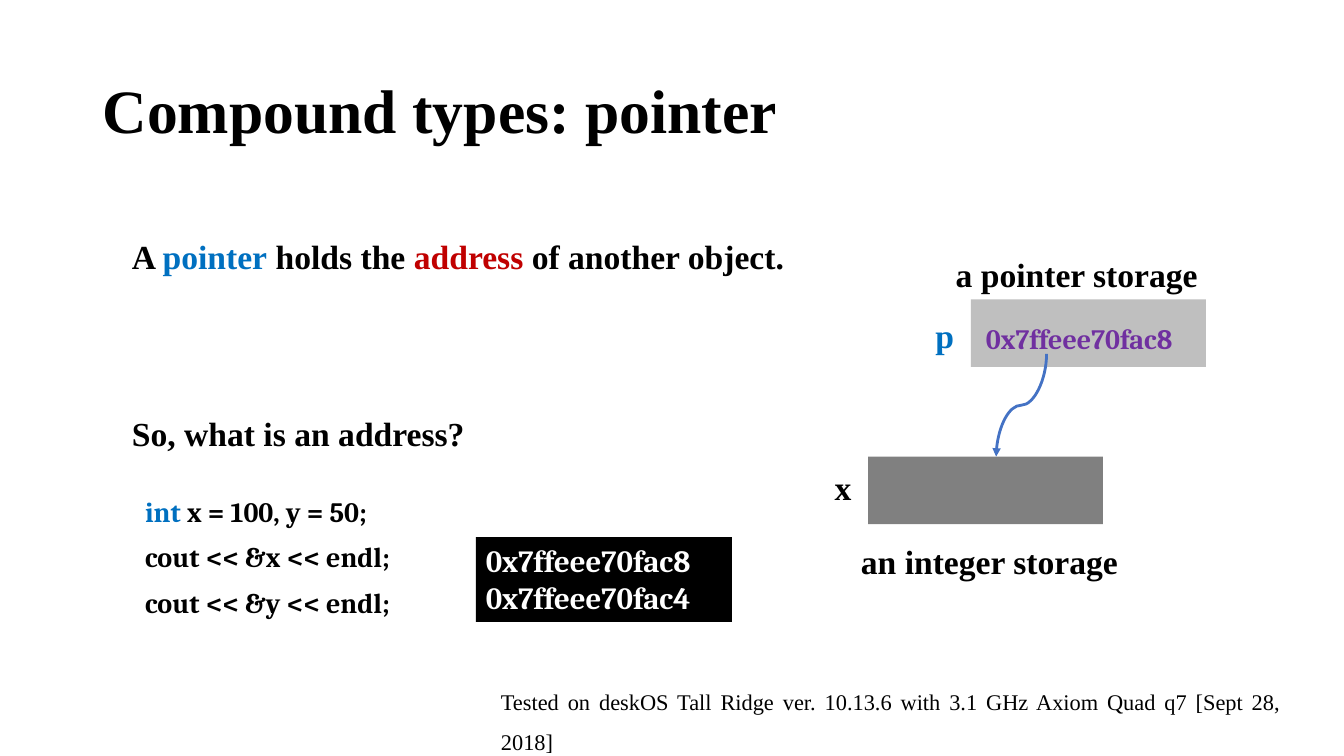
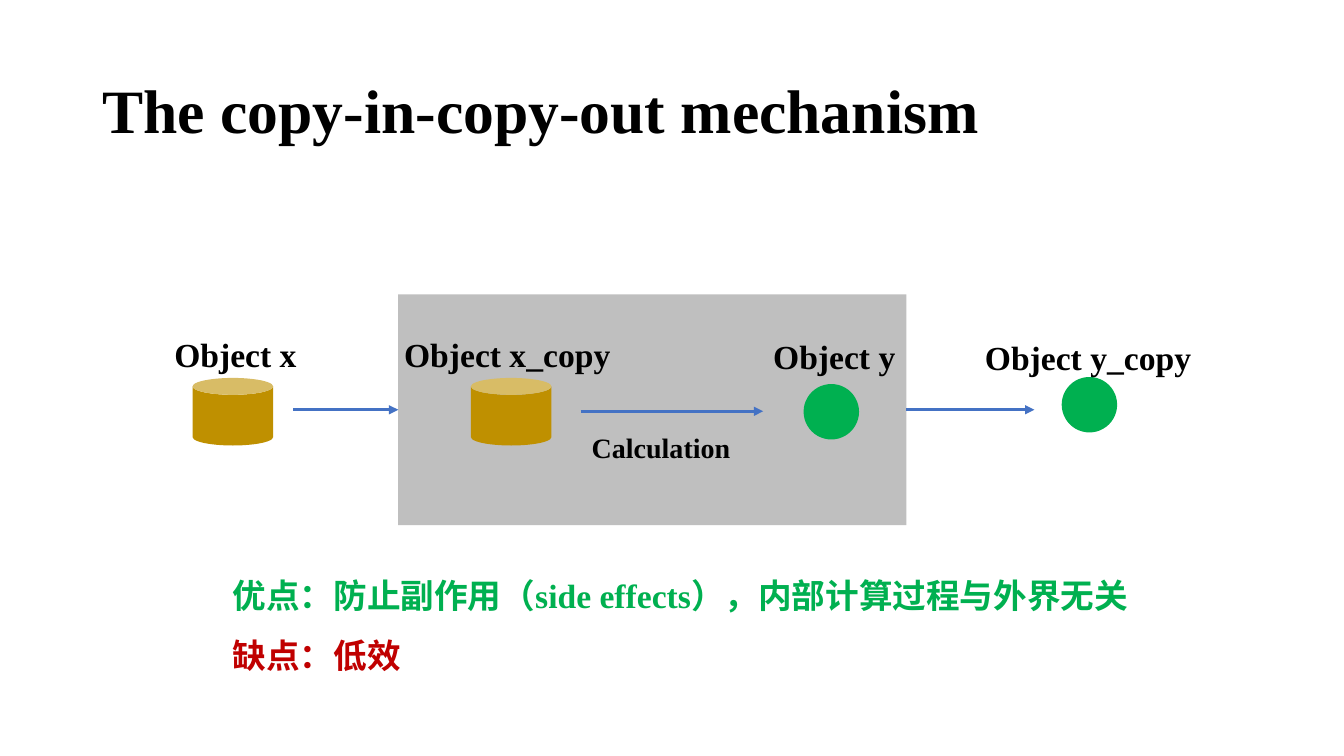
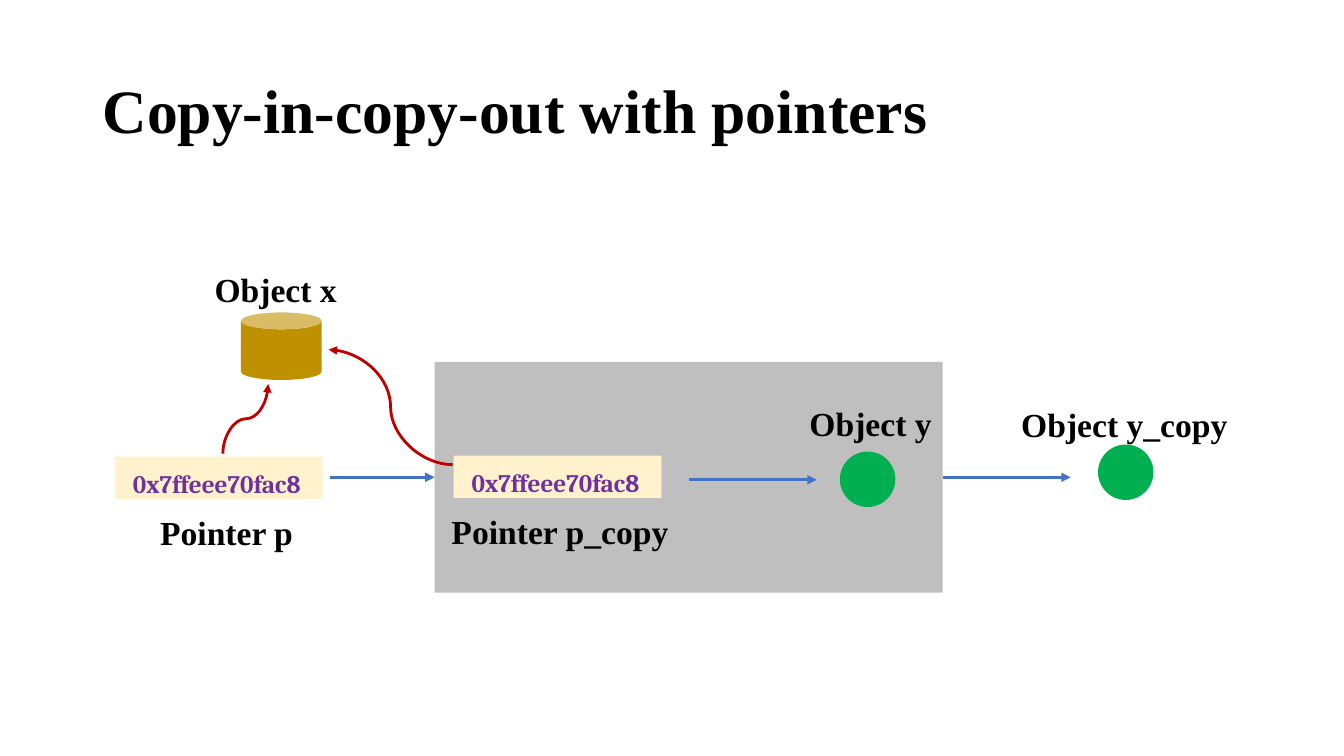
"""Build three slides on pointers and the copy-in-copy-out mechanism."""
from dataclasses import dataclass
from typing import NamedTuple, Optional, Union

from lxml import etree
from pptx import Presentation
from pptx import util as u
from pptx.dml import color
from pptx.enum import shapes, text
from pptx.oxml import ns


@dataclass(frozen=True)
class Theme:
    """Colours, fonts and type sizes of the deck."""
    black: str = "000000"
    white: str = "FFFFFF"
    blue: str = "0070C0"
    red: str = "C00000"
    green: str = "00B050"
    purple: str = "7030A0"
    gold: str = "BF9000"
    cream: str = "FFF2CC"
    panel: str = "BFBFBF"
    dark: str = "808080"
    arrow: str = "4472C4"
    body_font: str = "Times New Roman"
    code_font: str = "Cambria"
    title: int = 44
    body: int = 24
    console: int = 22
    code: int = 20
    value: int = 18
    note: int = 16


T = Theme()
ADDRESS = "0x7ffeee70fac8"
Kind = shapes.MSO_SHAPE


class Run(NamedTuple):
    """A piece of text with its own colour."""
    text: str
    color: str = T.black


class Box(NamedTuple):
    """A rectangle in inches."""
    x: float
    y: float
    w: float
    h: float

    def emu(self) -> list:
        """Return the rectangle as lengths."""
        return [u.Inches(v) for v in self]


class Label(NamedTuple):
    """A one-line caption."""
    text: str
    x: float
    y: float
    w: float
    color: str = T.black


Content = Union[str, list[list[Run]]]


def write(tf, content: Content, *, size: int = T.body, font: str = T.body_font,
          color_: str = T.black, bold: bool = True, align=text.PP_ALIGN.JUSTIFY,
          spacing=1.5) -> None:
    """Fill a text frame with formatted paragraphs."""
    paragraphs = [[Run(content, color_)]] if isinstance(content, str) else content
    for i, runs in enumerate(paragraphs):
        p = tf.add_paragraph() if i else tf.paragraphs[0]
        p.alignment, p.line_spacing = align, spacing
        for run in runs:
            r = p.add_run()
            r.text = run.text
            r.font.name, r.font.size, r.font.bold = font, u.Pt(size), bold
            r.font.color.rgb = color.RGBColor.from_string(run.color)


def add_text(s, box: Box, content: Content, *, wrap: bool = True, **fmt) -> None:
    """Add a text box that grows with its text."""
    tf = s.shapes.add_textbox(*box.emu()).text_frame
    tf.word_wrap = wrap
    tf.auto_size = text.MSO_AUTO_SIZE.SHAPE_TO_FIT_TEXT
    write(tf, content, **fmt)


def add_labels(s, *labels: Label) -> None:
    """Add captions in the body style."""
    for lb in labels:
        add_text(s, Box(lb.x, lb.y, lb.w, 0.63), lb.text, color_=lb.color)


def add_block(s, kind, box: Box, fill: str):
    """Add a flat filled shape without outline."""
    sp = s.shapes.add_shape(kind, *box.emu())
    sp.shadow.inherit = False
    sp.fill.solid()
    sp.fill.fore_color.rgb = color.RGBColor.from_string(fill)
    sp.line.fill.background()
    return sp


def add_can(s, x: float, y: float) -> None:
    """Add the cylinder that stands for object x."""
    add_block(s, Kind.CAN, Box(x, y, 0.8, 0.67), T.gold)


def add_ball(s, x: float, y: float) -> None:
    """Add the disc that stands for object y."""
    add_block(s, Kind.OVAL, Box(x, y, 0.55, 0.55), T.green)


def add_arrow(s, x1: float, y1: float, x2: float, y2: float, *, line: str = T.arrow,
              width: float = 2.25, curved: bool = False, upright: bool = False):
    """Add an arrow; an upright curve leaves and arrives vertically."""
    kind = shapes.MSO_CONNECTOR.CURVE if curved else shapes.MSO_CONNECTOR.STRAIGHT
    if upright:
        cx, cy, dx, dy = (x1 + x2) / 2, (y1 + y2) / 2, (x1 - x2) / 2, (y1 - y2) / 2
        x1, y1, x2, y2 = cx + dy, cy - dx, cx - dy, cy + dx
    c = s.shapes.add_connector(kind, *(u.Inches(v) for v in (x1, y1, x2, y2)))
    c.line.color.rgb = color.RGBColor.from_string(line)
    c.line.width = u.Pt(width)
    pr = c._element.spPr
    if upright:
        pr.find(ns.qn("a:xfrm")).set("rot", str(90 * 60000))
    etree.SubElement(pr.find(ns.qn("a:ln")), ns.qn("a:tailEnd"), type="triangle")
    etree.SubElement(pr, ns.qn("a:effectLst"))
    return c


def add_slide(prs, title: str):
    """Add a blank slide with the shared title."""
    s = prs.slides.add_slide(prs.slide_layouts[6])
    tf = s.shapes.add_textbox(*Box(0.92, 0.4, 11.5, 1.45).emu()).text_frame
    tf.word_wrap = True
    tf.vertical_anchor = text.MSO_ANCHOR.MIDDLE
    write(tf, title, size=T.title, align=text.PP_ALIGN.LEFT, spacing=0.9)
    return s


def add_process(s, x: float, y: float) -> None:
    """Add the function panel with its input, result and copied-out result."""
    panel = add_block(s, Kind.RECTANGLE, Box(x, y, 5.04, 2.29), T.panel)
    mid = y + 2.29 / 2
    add_arrow(s, x - 1.04, mid, x, mid).end_connect(panel, 1)
    add_arrow(s, x + 5.04, mid, x + 6.31, mid).begin_connect(panel, 3)
    add_ball(s, x + 4.02, y + 0.89)
    add_ball(s, x + 6.58, y + 0.82)
    add_labels(s, Label("Object y", x + 3.62, y + 0.16, 1.49),
               Label("Object y_copy", x + 5.72, y + 0.17, 2.39))


def add_pointer(s, x: float, y: float) -> None:
    """Add a cell that holds an address."""
    add_block(s, Kind.RECTANGLE, Box(x, y, 2.06, 0.42), T.cream)
    add_text(s, Box(x + 0.08, y - 0.08, 1.98, 0.5), ADDRESS, wrap=False,
             size=T.value, font=T.code_font, color_=T.purple)


def pointer_slide(prs) -> None:
    """Build the slide that introduces pointers."""
    s = add_slide(prs, "Compound types: pointer")
    add_text(s, Box(1.21, 2.09, 10, 0.63), [[
        Run("A "), Run("pointer", T.blue), Run(" holds the "),
        Run("address", T.red), Run(" of another object.")]])
    add_text(s, Box(1.34, 4.73, 3.3, 1.44), [
        [Run("int ", T.blue), Run("x = 100, y = 50;")],
        [Run("cout << &x << endl;")],
        [Run("cout << &y << endl;")],
    ], size=T.code, font=T.code_font, spacing=u.Pt(32.8))
    console = add_block(s, Kind.RECTANGLE, Box(4.72, 5.33, 2.54, 0.84), T.black)
    console.text_frame.vertical_anchor = text.MSO_ANCHOR.TOP
    write(console.text_frame, [[Run(a, T.white)] for a in (ADDRESS, "0x7ffeee70fac4")],
          size=T.console, font=T.code_font, align=text.PP_ALIGN.LEFT, spacing=1.0)
    add_block(s, Kind.RECTANGLE, Box(8.61, 4.53, 2.33, 0.67), T.dark)
    add_block(s, Kind.RECTANGLE, Box(9.63, 2.97, 2.33, 0.67), T.panel)
    add_text(s, Box(9.68, 2.97, 2.53, 0.54), ADDRESS, size=T.code,
             font=T.code_font, color_=T.purple)
    add_labels(s, Label("So, what is an address?", 1.21, 3.85, 3.73),
               Label("x", 8.18, 4.38, 0.44),
               Label("an integer storage", 8.44, 5.12, 2.89),
               Label("p", 9.18, 2.88, 0.44, T.blue),
               Label("a pointer storage", 9.38, 2.27, 2.78))
    add_arrow(s, 10.38, 3.51, 9.88, 4.53, width=2, curved=True, upright=True)
    add_text(s, Box(4.87, 6.64, 7.93, 0.46),
             "Tested on deskOS Tall Ridge ver. 10.13.6 with 3.1 GHz Axiom Quad q7 "
             "[Sept 28, 2018]", size=T.note, bold=False)


def mechanism_slide(prs) -> None:
    """Build the slide that explains copying in and out."""
    s = add_slide(prs, "The copy-in-copy-out mechanism")
    add_process(s, 3.95, 2.92)
    for x in (1.91, 4.67):
        add_can(s, x, 3.75)
    add_arrow(s, 5.76, 4.08, 7.57, 4.08)
    add_labels(s, Label("Object x", 1.63, 3.06, 1.55),
               Label("Object x_copy", 3.91, 3.06, 2.4))
    add_text(s, Box(5.77, 4.05, 1.96, 0.55), "Calculation", size=T.code)
    add_text(s, Box(2.21, 5.45, 9.19, 1.24), [
        [Run("优点：防止副作用（side effects），内部计算过程与外界无关", T.green)],
        [Run("缺点：低效", T.red)]])


def pointer_copy_slide(prs) -> None:
    """Build the slide that passes a pointer instead of the object."""
    s = add_slide(prs, "Copy-in-copy-out with pointers")
    add_process(s, 4.31, 3.59)
    add_can(s, 2.39, 3.1)
    add_arrow(s, 6.83, 4.76, 8.1, 4.76)
    add_pointer(s, 1.14, 4.53)
    add_pointer(s, 4.5, 4.52)
    add_labels(s, Label("Object x", 2.03, 2.42, 1.55),
               Label("Pointer p", 1.49, 4.83, 1.56),
               Label("Pointer p_copy", 4.38, 4.82, 2.5))
    add_arrow(s, 2.21, 4.5, 2.66, 3.81, line=T.red, width=2, curved=True, upright=True)
    add_arrow(s, 4.49, 4.61, 3.26, 3.47, line=T.red, width=2, curved=True)


def main() -> None:
    """Build and save the deck."""
    prs = Presentation()
    prs.slide_width, prs.slide_height = u.Inches(13.33), u.Inches(7.5)
    for build in (pointer_slide, mechanism_slide, pointer_copy_slide):
        build(prs)
    prs.save("out.pptx")


if __name__ == "__main__":
    main()
